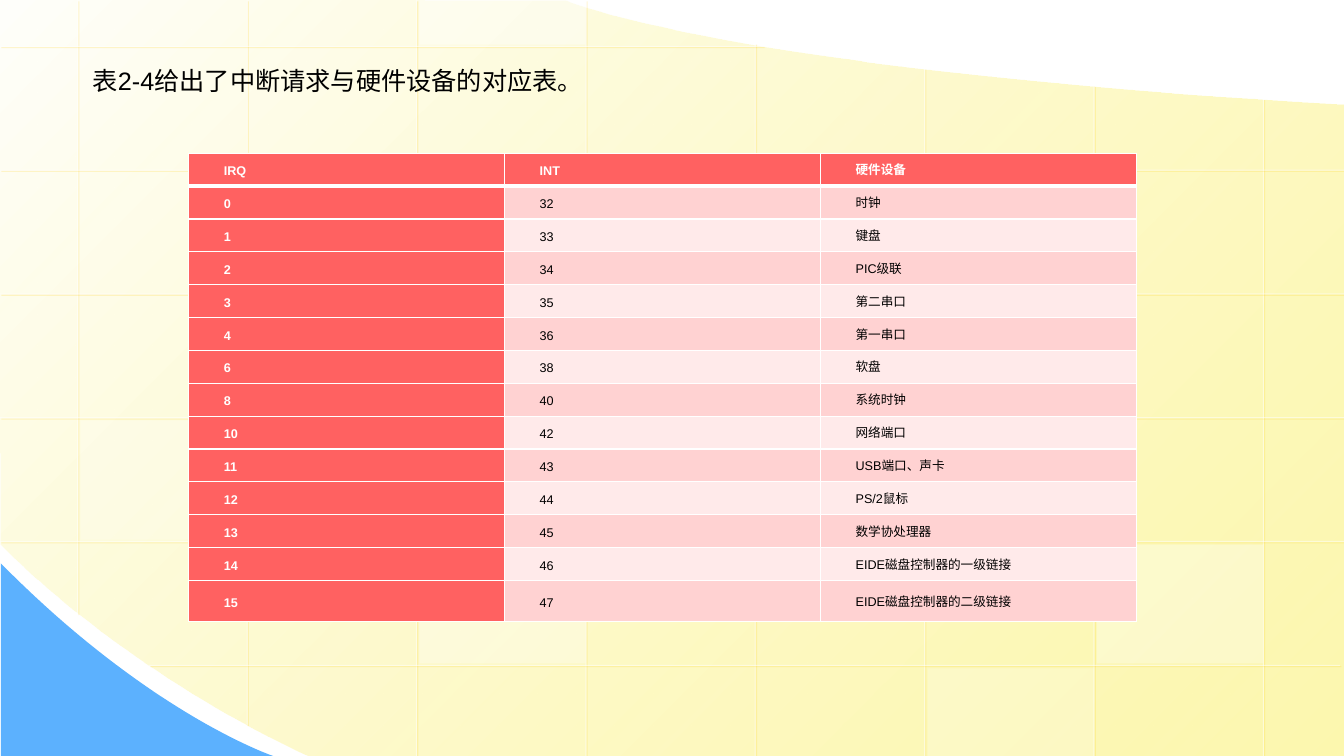
from lxml import etree
from pptx import Presentation
from pptx.dml.color import RGBColor
from pptx.enum.shapes import MSO_CONNECTOR as CONN, MSO_SHAPE as SHAPE
from pptx.enum.text import MSO_ANCHOR as ANCHOR, MSO_AUTO_SIZE as AUTO, PP_ALIGN as ALIGN
from pptx.oxml import parse_xml
from pptx.oxml.ns import qn
from pptx.util import Inches, Pt

NS = 'xmlns:a="http://schemas.openxmlformats.org/drawingml/2006/main"'
WIDTH, HEIGHT = 13.33, 7.5
COL_STEP, ROW_STEP = 1.68, (6.6 - 0.46) / 5
COL_SPANS = [(0, 6.09), (0, 7.19), (0, 7.5), (0, 7.52),
             (0.43, 7.52), (0.68, 7.52), (0.85, 7.52), (0.98, 7.52)]
ROW_SPANS = [(0, 7.57)] + [(0, 13.35)] * 4 + [(1.48, 13.29)]
TILES = [(3, 2, 25), (6, 4, 30), (0, 3, 20), (5, 5, 20), (2, -1, 40), (2, 4, 30), (5, 1, 30)]
ROWS = [
    ("IRQ", "INT", "硬件设备"),
    ("0", "32", "时钟"),
    ("1", "33", "键盘"),
    ("2", "34", "PIC级联"),
    ("3", "35", "第二串口"),
    ("4", "36", "第一串口"),
    ("6", "38", "软盘"),
    ("8", "40", "系统时钟"),
    ("10", "42", "网络端口"),
    ("11", "43", "USB端口、声卡"),
    ("12", "44", "PS/2鼠标"),
    ("13", "45", "数学协处理器"),
    ("14", "46", "EIDE磁盘控制器的一级链接"),
    ("15", "47", "EIDE磁盘控制器的二级链接"),
]


def rgb(value):
    return RGBColor.from_string(value)


def apply(obj, values):
    for name, value in values.items():
        setattr(obj, name, value)


def set_alpha(parent, percent):
    for clr in parent.iter(qn("a:srgbClr")):
        etree.SubElement(clr, qn("a:alpha")).set("val", str(percent * 1000))


def paint(sp, color, alpha=100):
    sp.shadow.inherit = False
    sp.line.fill.background()
    sp.fill.solid()
    sp.fill.fore_color.rgb = rgb(color)
    if alpha < 100:
        set_alpha(sp.element.spPr, alpha)


def bezier(p0, p1, p2, p3, steps=40):
    for i in range(1, steps + 1):
        t = i / steps
        u = 1 - t
        yield tuple(u**3 * a + 3 * u * u * t * b + 3 * u * t * t * c + t**3 * d
                    for a, b, c, d in zip(p0, p1, p2, p3))


def add_outline(s, box, points):
    left, top = box
    pts = [(Inches(left + x), Inches(top + y)) for x, y in points]
    builder = s.shapes.build_freeform(*pts[0])
    builder.add_line_segments(pts[1:], close=True)
    return builder.convert_to_shape()


def add_backdrop(s, box):
    points = [(13.33, 1.04), (13.34, 7.5), (3.07, 7.5)]
    points += bezier((3.07, 7.5), (1.15, 6.61), (-0.01, 5.39), (0, 5.39))
    points += [(-0.01, -0.01), (5.61, 0.01)]
    points += bezier((5.61, 0.01), (5.61, 0.01), (7.15, 0.69), (13.33, 1.04))
    sp = add_outline(s, box, points)
    paint(sp, "FFFFFB")
    sp.fill.gradient()
    sp.fill.gradient_angle = 315
    stops = sp.fill.gradient_stops
    for stop, color in zip(stops, ("FFFFFB", "FDF58D")):
        stop.color.rgb = rgb(color)
    set_alpha(sp.element.spPr.find(qn("a:gradFill"))[0][-1], 70)


def add_corner(s, box):
    points = [(0, 0), (0, 1.91), (2.7, 1.91)]
    points += bezier((2.7, 1.91), (2.7, 1.91), (1.48, 1.5), (0, 0))
    paint(add_outline(s, box, points), "5CB1FE")


def add_grid_line(s, x1, y1, x2, y2):
    line = s.shapes.add_connector(CONN.STRAIGHT, *map(Inches, (x1, y1, x2, y2)))
    line.line.color.rgb = rgb("FFFFFF")
    line.line.width = Pt(0.75)
    spPr = line.element.spPr
    set_alpha(spPr, 50)
    spPr.append(parse_xml(
        f'<a:effectLst {NS}><a:outerShdw dist="17780" dir="2700000" algn="ctr" rotWithShape="0">'
        '<a:srgbClr val="FFCC00"><a:alpha val="34000"/></a:srgbClr></a:outerShdw></a:effectLst>'))


def add_grid(s, box):
    left, top = box
    for i, (start, end) in enumerate(COL_SPANS):
        x = left + i * COL_STEP
        add_grid_line(s, x, start, x, end)
    for i, (start, end) in enumerate(ROW_SPANS):
        y = top + i * ROW_STEP
        add_grid_line(s, end, y, start, y)
    for col, row, alpha in TILES:
        x, y = left + col * COL_STEP + 0.03, top + row * ROW_STEP + 0.03
        y1, y2 = max(0, y), min(HEIGHT, y + 1.18)
        tile = s.shapes.add_shape(SHAPE.RECTANGLE, *map(Inches, (x, y1, 1.65, y2 - y1)))
        paint(tile, "FFFFFF", alpha)


def add_title(s, box):
    sp = s.shapes.title
    apply(sp, dict(zip(("left", "top", "width", "height"), map(Inches, box))))
    sp.element.getparent().append(sp.element)
    tf = sp.text_frame
    apply(tf, {"text": "表2-4给出了中断请求与硬件设备的对应表。", "word_wrap": True,
               "auto_size": AUTO.SHAPE_TO_FIT_TEXT, "vertical_anchor": ANCHOR.TOP})
    p = tf.paragraphs[0]
    p.alignment = ALIGN.LEFT
    apply(p.runs[0].font, {"name": "Arial", "size": Pt(18), "bold": False})
    p.runs[0].font.color.rgb = rgb("000000")


def add_borders(cell, top, bottom):
    tcPr = cell._tc.get_or_add_tcPr()
    for side, width in (("L", 1), ("R", 1), ("T", top), ("B", bottom)):
        tcPr.append(parse_xml(
            f'<a:ln{side} {NS} w="{Pt(width)}"><a:solidFill><a:srgbClr val="FFFFFF"/>'
            f'</a:solidFill><a:prstDash val="solid"/></a:ln{side}>'))


def fill_cell(cell, text, row, col):
    strong = row == 0 or col == 0
    apply(cell, {"text": text, "vertical_anchor": ANCHOR.MIDDLE,
                 "margin_left": Inches(0.06), "margin_right": Inches(0.06),
                 "margin_top": 0, "margin_bottom": 0})
    add_borders(cell, 3 if row == 1 else 1, 3 if row == 0 else 1)
    cell.fill.solid()
    cell.fill.fore_color.rgb = rgb("FF6161" if strong else ("FFEAEA", "FFD2D2")[row % 2])
    p = cell.text_frame.paragraphs[0]
    p.line_spacing = Pt(12.6)
    p._p.get_or_add_pPr().set("indent", str(Inches(0.29)))
    font = p.runs[0].font
    apply(font, {"name": "Arial", "size": Pt(9), "bold": strong})
    font.color.rgb = rgb("FFFFFF" if strong else "000000")


def add_irq_table(s, box):
    table = s.shapes.add_table(len(ROWS), 3, *map(Inches, box)).table
    last = 0.41
    for col in table.columns:
        col.width = Inches(box[2] / 3)
    for row in table.rows:
        row.height = Inches((box[3] - last) / (len(ROWS) - 1))
    table.rows[len(ROWS) - 1].height = Inches(last)
    for r, texts in enumerate(ROWS):
        for c, text in enumerate(texts):
            fill_cell(table.cell(r, c), text, r, c)


def main():
    prs = Presentation()
    apply(prs, {"slide_width": Inches(WIDTH), "slide_height": Inches(HEIGHT)})
    s = prs.slides.add_slide(prs.slide_layouts[5])
    add_backdrop(s, (0, 0))
    add_corner(s, (0.01, 5.59))
    add_grid(s, (0.77, 0.46))
    add_title(s, (0.82, 0.6, 5.38, 0.4))
    add_irq_table(s, (1.87, 1.52, 9.4, 4.65))
    prs.save("out.pptx")


if __name__ == "__main__":
    main()
